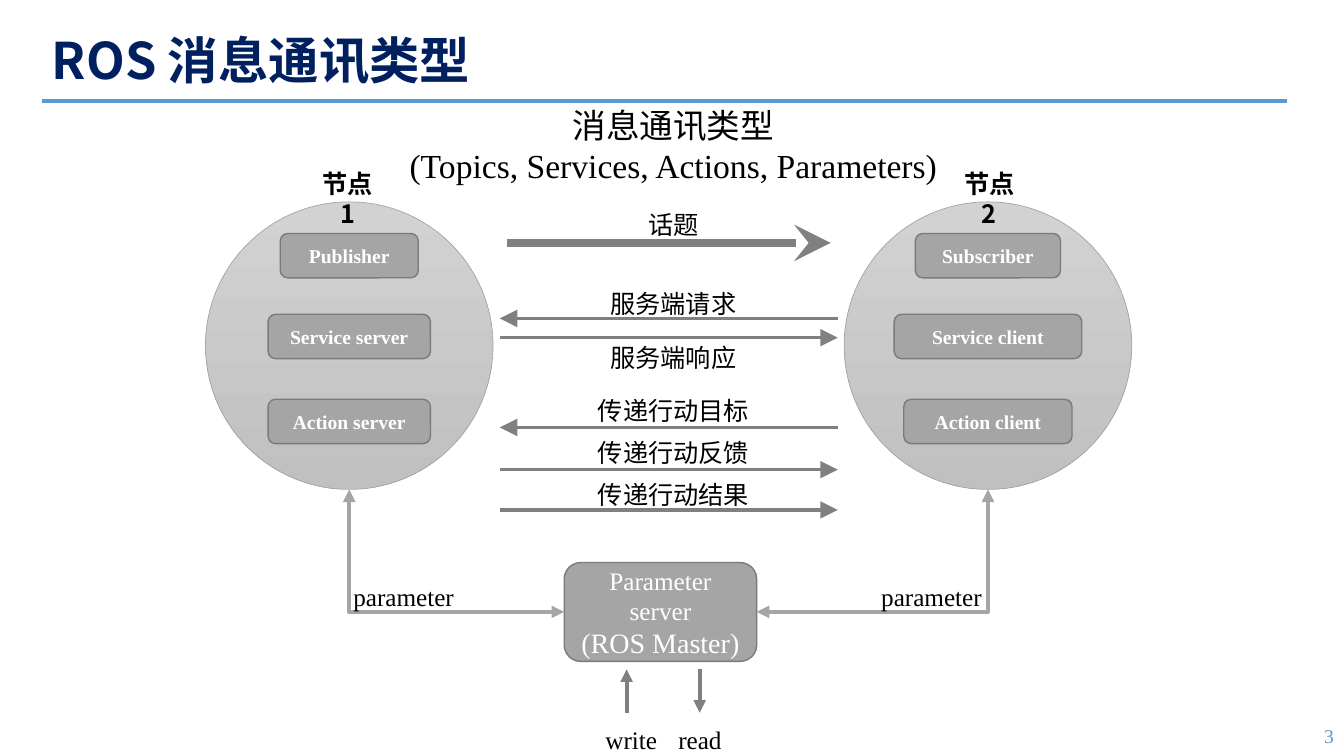
"""Build a slide on the message types exchanged between ROS nodes."""
import pptx
import pptx.dml.color
import pptx.enum.shapes
import pptx.enum.text
import pptx.oxml
import pptx.oxml.ns
import pptx.util

Pt = pptx.util.Pt
RGBColor = pptx.dml.color.RGBColor
SHAPE = pptx.enum.shapes.MSO_SHAPE
CONNECTOR = pptx.enum.shapes.MSO_CONNECTOR
ALIGN = pptx.enum.text.PP_ALIGN
ANCHOR = pptx.enum.text.MSO_ANCHOR

NAVY = RGBColor(0x00, 0x20, 0x60)
BLUE = RGBColor(0x5B, 0x9B, 0xD5)
BLACK = RGBColor(0x00, 0x00, 0x00)
WHITE = RGBColor(0xFF, 0xFF, 0xFF)
GRAY = RGBColor(0xA5, 0xA5, 0xA5)
EDGE_GRAY = RGBColor(0x7A, 0x7A, 0x7A)
ARROW_GRAY = RGBColor(0x80, 0x80, 0x80)
NODE_TOP = RGBColor(0xD2, 0xD2, 0xD2)
NODE_BOTTOM = RGBColor(0xC0, 0xC0, 0xC0)

SERIF = "Times New Roman"
SANS = "Noto Sans CJK SC"
KOREAN_SANS = "Noto Sans CJK KR"

TITLE = {"name": SANS, "size": Pt(36), "bold": True, "color": NAVY}
NUMBER = {"name": SERIF, "size": Pt(14), "color": BLUE}
CAPTION = {"name": SERIF, "size": Pt(24), "color": BLACK}
LABEL = {"name": SERIF, "size": Pt(18), "color": BLACK}
NODE_NAME = {"name": KOREAN_SANS, "size": Pt(18), "bold": True, "color": BLACK}
ROLE = {"name": SERIF, "size": Pt(14), "bold": True, "color": WHITE}
SERVER = {"name": SERIF, "size": Pt(18), "color": WHITE}
MASTER = {"name": SERIF, "size": Pt(20), "color": WHITE}

LABEL_HEIGHT = 28.8
ROLE_HEIGHT = 31.7


def write(frame, lines, align=ALIGN.CENTER, anchor=ANCHOR.MIDDLE, wrap=True):
    """Fill a text frame with one paragraph per (text, format) pair."""
    for name, value in {"word_wrap": wrap, "vertical_anchor": anchor}.items():
        setattr(frame, name, value)
    for index, (text, style) in enumerate(lines):
        paragraph = frame.add_paragraph() if index else frame.paragraphs[0]
        paragraph.alignment = align
        run = paragraph.add_run()
        run.text = text
        for name, value in style.items():
            if name == "color":
                run.font.color.rgb = value
            else:
                setattr(run.font, name, value)
        east_asian = pptx.oxml.parse_xml(f"<a:ea {pptx.oxml.ns.nsdecls('a')}/>")
        east_asian.set("typeface", SANS if style["name"] == SERIF else style["name"])
        run.font._element.append(east_asian)


def add_label(slide, center, top, text, style=LABEL, width=126, wrap=False):
    """Place a label centred on a horizontal position."""
    box = slide.shapes.add_textbox(Pt(center - width / 2), Pt(top), Pt(width), Pt(LABEL_HEIGHT))
    write(box.text_frame, [(text, style)], anchor=ANCHOR.TOP, wrap=wrap)


def add_line(slide, start, end, color, weight, kind=CONNECTOR.STRAIGHT, head=None, tail=None,
             size="med"):
    """Draw a connector with optional arrowheads at its start and end."""
    line = slide.shapes.add_connector(kind, *map(Pt, start + end))
    line.line.color.rgb = color
    line.line.width = Pt(weight)
    namespace = pptx.oxml.ns.nsdecls("a")
    for end_name, arrow in (("headEnd", head), ("tailEnd", tail)):
        if arrow:
            line.line._ln.append(pptx.oxml.parse_xml(
                f'<a:{end_name} {namespace} type="{arrow}" w="{size}" len="{size}"/>'))
    line._element.spPr.append(pptx.oxml.parse_xml(f"<a:effectLst {namespace}/>"))
    return line


def add_block(slide, box, lines):
    """Draw a gray rounded rectangle with text."""
    block = slide.shapes.add_shape(SHAPE.ROUNDED_RECTANGLE, *map(Pt, box))
    block.shadow.inherit = False
    block.fill.solid()
    block.fill.fore_color.rgb = GRAY
    block.line.color.rgb = EDGE_GRAY
    block.line.width = Pt(1)
    write(block.text_frame, lines)


def draw_header(slide, box):
    """Draw the title above its rule."""
    left, top, width, height = box
    title = slide.shapes.add_textbox(*map(Pt, box))
    write(title.text_frame, [("ROS 消息通讯类型", TITLE)], align=ALIGN.LEFT)
    title.text_frame.paragraphs[0].line_spacing = 0.9
    add_line(slide, (left, top + height), (left + width, top + height), BLUE, 2.5)


def draw_footer(slide, box):
    """Draw the slide number."""
    number = slide.shapes.add_textbox(*map(Pt, box))
    write(number.text_frame, [("3", NUMBER)], align=ALIGN.RIGHT)


def draw_caption(slide, box):
    """Draw the diagram heading."""
    caption = slide.shapes.add_textbox(*map(Pt, box))
    lines = [("消息通讯类型", CAPTION), ("(Topics, Services, Actions, Parameters)", CAPTION)]
    write(caption.text_frame, lines, anchor=ANCHOR.TOP, wrap=False)


def draw_node(slide, box, name, name_shift, roles):
    """Draw a round node with its name and the roles inside it."""
    left, top, width, height = box
    center = left + width / 2
    circle = slide.shapes.add_shape(SHAPE.OVAL, *map(Pt, box))
    circle.shadow.inherit = False
    circle.fill.gradient()
    circle.fill.gradient_angle = 270
    for stop, color in zip(circle.fill.gradient_stops, (NODE_TOP, NODE_BOTTOM)):
        stop.color.rgb = color
    circle.line.color.rgb = GRAY
    circle.line.width = Pt(0.5)
    for offset, (role, role_width) in zip((22.6, 80.3, 141), roles):
        role_box = (center - role_width / 2, top + offset, role_width, ROLE_HEIGHT)
        add_block(slide, role_box, [(role, ROLE)])
    add_label(slide, center + name_shift, top - 27.4, name, NODE_NAME, width=59, wrap=True)


def draw_messages(slide, box):
    """Draw the labelled arrows that run between the two nodes."""
    left, top, width, height = box
    right = left + width
    center = left + width / 2 + 3.3
    add_line(slide, (left + 5, top + 27.5), (right - 5, top + 27.5), ARROW_GRAY, 5.25,
             tail="stealth", size="lg")
    add_label(slide, center, top, "话题")
    messages = (
        ("服务端请求", 56.3, 81.5, True),
        ("服务端响应", 94.8, 95.2, False),
        ("传递行动目标", 132.6, 159.3, True),
        ("传递行动反馈", 162.9, 189.5, False),
        ("传递行动结果", 193.1, 218.3, False),
    )
    for text, label_offset, arrow_offset, leftward in messages:
        start, end = (right, left) if leftward else (left, right)
        y = top + arrow_offset
        add_line(slide, (start, y), (end, y), ARROW_GRAY, 2.5, tail="triangle", size="lg")
        add_label(slide, center, top + label_offset, text)


def draw_parameter_server(slide, box, node_bottoms):
    """Draw the parameter server, its links to the nodes and its access arrows."""
    left, top, width, height = box
    middle = top + height / 2
    add_block(slide, box, [("Parameter server", SERVER), ("(ROS Master)", MASTER)])
    for side, node_bottom, inward in zip((left, left + width), node_bottoms, (38.8, -40.3)):
        link = add_line(slide, (side, middle), node_bottom, GRAY, 3, CONNECTOR.ELBOW,
                        head="triangle", tail="triangle")
        link._element.spPr.prstGeom.set("prst", "bentConnector2")
        add_label(slide, node_bottom[0] + inward, top + 10, "parameter", width=87)
    near, far = top + height + 5.7, top + height + 36.7
    accesses = (
        ("write", 44.6, 47.9, 56, far, near),
        ("read", 96.8, 97, 50, near, far),
    )
    for text, arrow_offset, label_offset, label_width, start, end in accesses:
        x = left + arrow_offset
        add_line(slide, (x, start), (x, end), ARROW_GRAY, 3, tail="triangle")
        add_label(slide, left + label_offset, top + 112.3, text, width=label_width)


def main():
    """Compose and save the slide."""
    deck = pptx.Presentation()
    deck.slide_width, deck.slide_height = Pt(960), Pt(540)
    slide = deck.slides.add_slide(deck.slide_layouts[6])
    draw_header(slide, (30, 19, 889.5, 53))
    draw_footer(slide, (744, 511, 216, 28.8))
    diameter, node_top = 205.4, 144.2
    nodes = (
        (146.8, "节点1", -1,
         (("Publisher", 98.6), ("Service server", 116), ("Action server", 116))),
        (603, "节点2", 1,
         (("Subscriber", 103.7), ("Service client", 134), ("Action client", 120.2))),
    )
    for left, name, name_shift, roles in nodes:
        draw_node(slide, (left, node_top, diameter, diameter), name, name_shift, roles)
    draw_messages(slide, (357, 146, 241.4, 220))
    draw_caption(slide, (283.7, 71.3, 394.6, 65.5))
    bottoms = [(node[0] + diameter / 2, node_top + diameter) for node in nodes]
    draw_parameter_server(slide, (403, 401.8, 137.5, 70.6), bottoms)
    deck.save("out.pptx")


if __name__ == "__main__":
    main()
